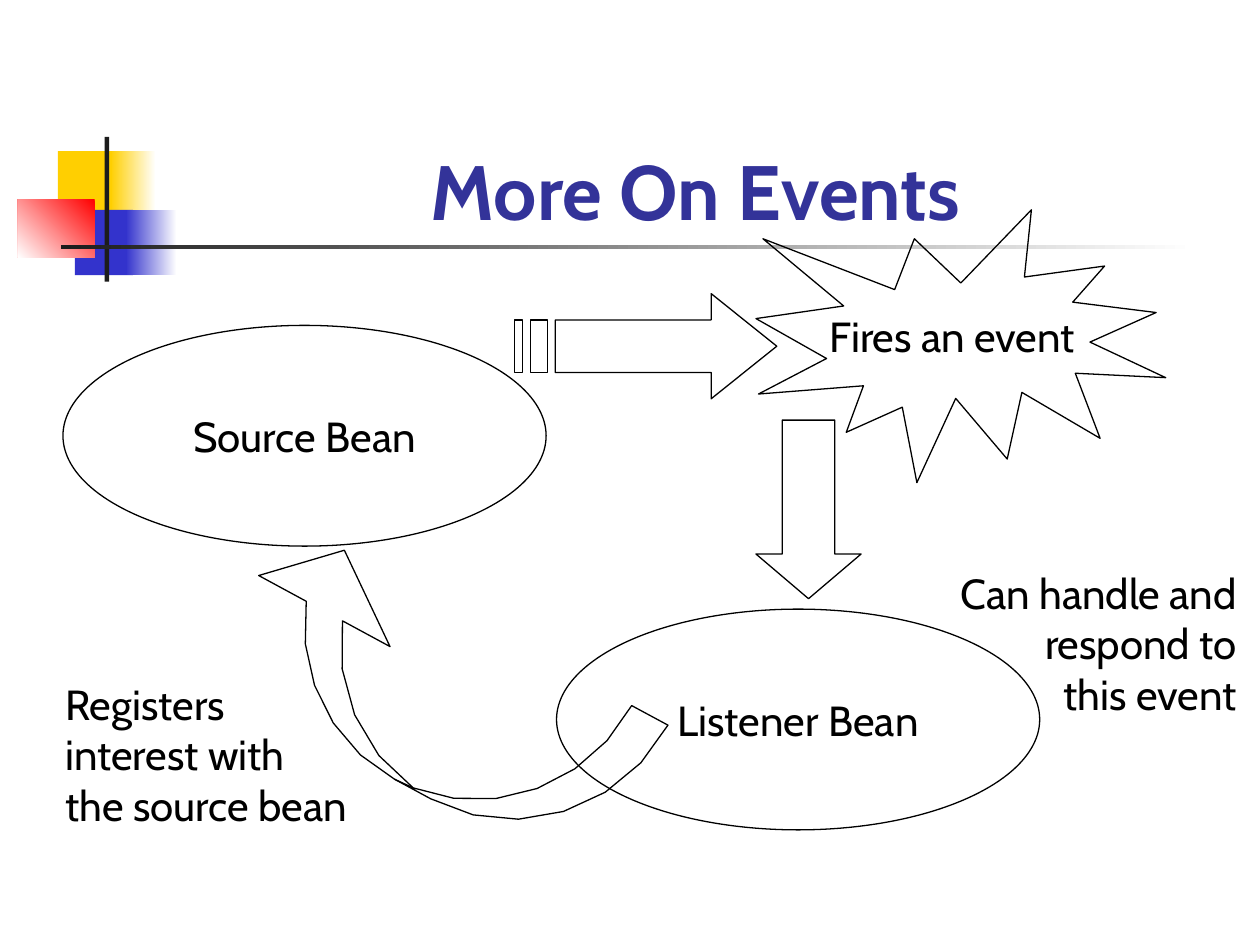
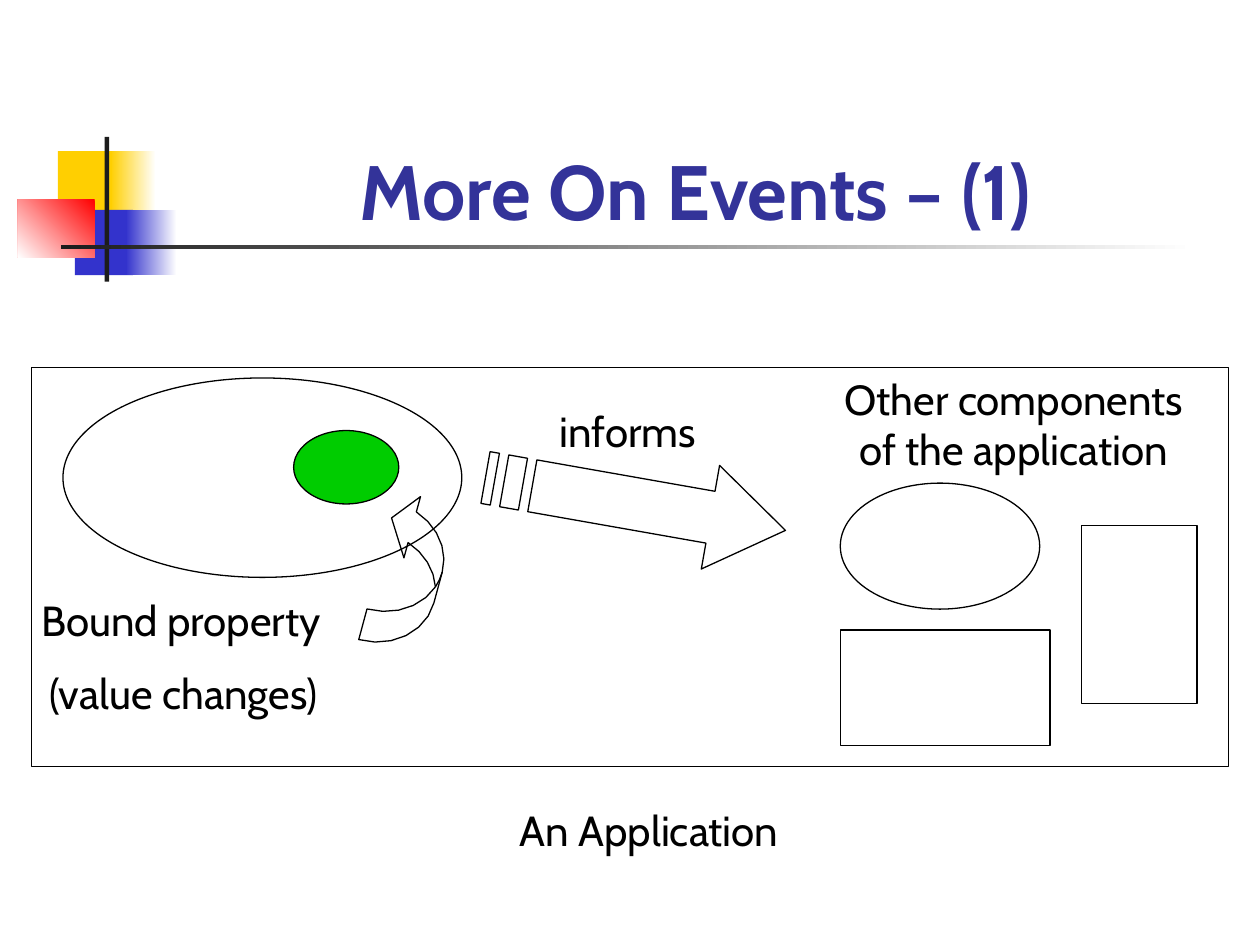
from math import acos, asin, ceil, cos, pi, radians, sin

from pptx import Presentation
from pptx.dml.color import RGBColor
from pptx.enum.shapes import MSO_SHAPE as Shape
from pptx.enum.text import MSO_ANCHOR as Anchor, MSO_AUTO_SIZE as AutoSize, PP_ALIGN as Align
from pptx.util import Cm, Pt

FONT = "Cabin"
BLACK, WHITE, INDIGO = "000000", "FFFFFF", "333399"
YELLOW, BLUE, RED, DARK, GREEN = "FFCF01", "3333CC", "FF0000", "1C1C1C", "00CC00"


def color(hex_text):
    return RGBColor.from_string(hex_text)


def write(tf, text, size=24, ink=BLACK, bold=False, align=Align.CENTER, anchor=Anchor.TOP, wrap=False):
    """Write each line of text as its own paragraph."""
    tf.word_wrap = wrap
    tf.auto_size = AutoSize.NONE
    tf.vertical_anchor = anchor
    for i, line in enumerate(text.split("\n")):
        p = tf.paragraphs[0] if i == 0 else tf.add_paragraph()
        p.alignment = align
        r = p.add_run()
        r.text = line
        r.font.name, r.font.size, r.font.bold = FONT, Pt(size), bold
        r.font.color.rgb = color(ink)


def arc(cx, radius, height, start, end):
    """Points on a hanging half ellipse, 16 degrees apart at most; angle 0 is its left end."""
    steps = ceil(abs(end - start) / radians(16))
    angles = [start + (end - start) * i / steps for i in range(steps + 1)]
    return [(cx - radius * cos(a), height * sin(a)) for a in angles]


class Deck:
    """Drawing style plus the slide in work; all lengths are in centimetres."""

    def __init__(self, prs):
        self.prs = prs
        self.slide = None

    def new_slide(self, title):
        self.slide = self.prs.slides.add_slide(self.prs.slide_layouts[5])
        self.ornament()
        sp = self.slide.shapes.title
        sp.left, sp.top, sp.width, sp.height = map(Cm, (3.2, 1.7, 21.64, 3.18))
        write(sp.text_frame, title, size=44, ink=INDIGO, bold=True, anchor=Anchor.BOTTOM, wrap=True)

    def ornament(self):
        """Coloured blocks and crossing bars beside the title."""
        self.block((1.17, 3.05, 1.22, 1.32), YELLOW)
        self.block((2.23, 3.05, 0.91, 1.32), WHITE, YELLOW)
        self.block((1.51, 4.23, 1.17, 1.32), BLUE)
        self.block((2.54, 4.23, 1.02, 1.32), WHITE, BLUE)
        self.block((0.36, 4.02, 1.55, 1.17), RED, WHITE, angle=225)
        self.block((2.11, 2.76, 0.09, 2.92), DARK)
        self.block((1.23, 4.94, 22.86, 0.09), WHITE, DARK)

    def block(self, box, fill, fade=None, angle=180):
        sp = self.shape(Shape.RECTANGLE, box, fill=fill, line=None)
        if fade:
            sp.fill.gradient()
            sp.fill.gradient_angle = angle
            for stop, ink in zip(sp.fill.gradient_stops, (fill, fade)):
                stop.color.rgb = color(ink)

    def style(self, sp, fill=None, line=BLACK):
        sp.shadow.inherit = False
        if fill:
            sp.fill.solid()
            sp.fill.fore_color.rgb = color(fill)
        else:
            sp.fill.background()
        if line:
            sp.line.color.rgb = color(line)
            sp.line.width = Pt(0.75)
        else:
            sp.line.fill.background()
        return sp

    def shape(self, kind, box, text=None, fill=None, line=BLACK, adjust=()):
        sp = self.slide.shapes.add_shape(kind, *map(Cm, box))
        for i, value in enumerate(adjust):
            sp.adjustments[i] = value
        if text:
            write(sp.text_frame, text, anchor=Anchor.MIDDLE)
        return self.style(sp, fill, line)

    def label(self, box, text, align=Align.CENTER):
        sp = self.slide.shapes.add_textbox(*map(Cm, box))
        write(sp.text_frame, text, align=align)

    def outline(self, box, closed, opened=(), turn=0, mirror=False):
        """Draw contours given relative to box, turned about the box centre."""
        x, y, w, h = box
        c, s = cos(radians(turn)), sin(radians(turn))

        def place(point):
            dx, dy = point[0] - w / 2, point[1] - h / 2
            if mirror:
                dx = -dx
            return Cm(x + w / 2 + dx * c - dy * s), Cm(y + h / 2 + dx * s + dy * c)

        fb = None
        contours = [(k, True) for k in closed] + [(k, False) for k in opened]
        for contour, close in contours:
            first, *rest = map(place, contour)
            if fb is None:
                fb = self.slide.shapes.build_freeform(*first)
            else:
                fb.move_to(*first)
            fb.add_line_segments(rest, close=close)
        self.style(fb.convert_to_shape())

    def striped_arrow(self, box, turn=0):
        w, h = box[2:]
        top, bottom, neck = h / 4, h * 3 / 4, w * 3 / 4
        stripes = [[(a, top), (b, top), (b, bottom), (a, bottom)]
                   for a, b in ((0, w / 32), (w / 16, w / 8))]
        tail = w * 5 / 32
        body = [(tail, top), (neck, top), (neck, 0), (w, h / 2),
                (neck, h), (neck, bottom), (tail, bottom)]
        self.outline(box, [body, *stripes], turn=turn)

    def curved_arrow(self, box, radius, shaft, barb, turn, mirror=False):
        """Ribbon between two equal arcs set one shaft width apart."""
        h = box[3]
        neck = 0.355
        end = pi - asin(neck)
        cross = acos(shaft / 2 / radius)

        def near(a, b):
            return arc(radius, radius, h, a, b)

        def far(a, b):
            return arc(radius + shaft, radius, h, a, b)

        rim, tip = near(end, pi - cross), far(pi / 2, end)
        head = [(tip[-1][0] + barb, neck * h), (2 * radius + shaft / 2, 0),
                (rim[0][0] - barb, neck * h)]
        ribbon = near(0, pi / 2) + tip + head + rim + far(cross, 0)[1:]
        self.outline(box, [ribbon], [far(cross, pi / 2)], turn, mirror)


def event_flow(deck):
    deck.new_slide("More On Events")
    # Beans and the event between them
    deck.shape(Shape.OVAL, (1.27, 6.56, 9.74, 4.45), "Source Bean")
    deck.shape(Shape.OVAL, (11.22, 12.28, 9.74, 4.45), "Listener Bean")
    # Arrow back to the source
    deck.curved_arrow((4.26, 12.29, 8.89, 3.58), radius=3.5, shaft=0.83, barb=1.09,
                      turn=28.4, mirror=True)
    deck.label((1.07, 13.55, 6.91, 3.3), "Registers\ninterest with\nthe source bean", Align.LEFT)
    # Event and the arrows through it
    deck.striped_arrow((10.37, 5.92, 5.29, 2.12))
    deck.label((16.17, 6.14, 6.05, 1.27), "Fires an event")
    deck.shape(Shape.DOWN_ARROW, (15.24, 8.47, 2.12, 3.6), adjust=(0.5, 0.425))
    deck.shape(Shape.EXPLOSION1, (15.24, 4.23, 8.26, 5.5))
    deck.label((18.45, 11.31, 6.73, 3.3), "Can handle and\nrespond to\nthis event", Align.RIGHT)


def bound_property(deck):
    deck.new_slide("More On Events – (1)")
    # Bean with its bound property
    deck.shape(Shape.OVAL, (1.27, 7.62, 8.04, 4.02), fill=WHITE)
    deck.shape(Shape.OVAL, (5.92, 8.68, 2.12, 1.48), fill=GREEN)
    deck.label((0.58, 11.85, 6.83, 1.27), "Bound property", Align.LEFT)
    deck.curved_arrow((6.67, 10.89, 3.18, 1.27), radius=1.11, shaft=0.64, barb=0.32, turn=285.1)
    deck.label((0.74, 13.34, 6.68, 1.27), "(value changes)", Align.LEFT)
    # Application frame and its other components
    deck.shape(Shape.RECTANGLE, (0.64, 7.41, 24.13, 8.05))
    deck.shape(Shape.RECTANGLE, (16.94, 12.7, 4.23, 2.33))
    deck.shape(Shape.OVAL, (16.94, 9.74, 4.02, 2.54))
    deck.shape(Shape.RECTANGLE, (21.8, 10.59, 2.33, 3.6))
    deck.label((16.42, 7.4, 8.03, 2.29), "Other components\nof the application")
    # Notification
    deck.label((10.87, 8.05, 3.58, 1.27), "informs")
    deck.striped_arrow((9.74, 9.1, 6.14, 2.12), turn=10)
    deck.label((9.96, 16.09, 6.25, 1.27), "An Application")


def main():
    prs = Presentation()
    prs.slide_width, prs.slide_height = Cm(25.4), Cm(19.05)
    deck = Deck(prs)
    event_flow(deck)
    bound_property(deck)
    prs.save("out.pptx")


if __name__ == "__main__":
    main()
